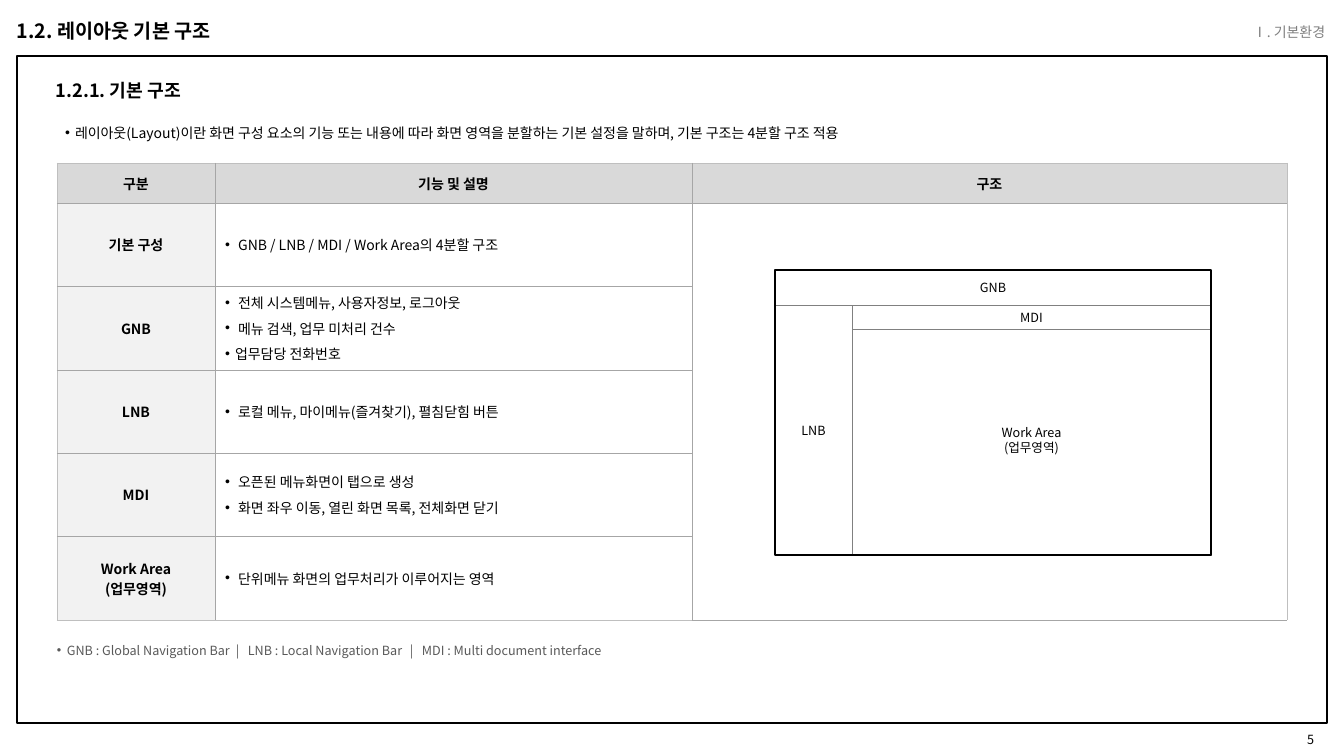
"""Builds the slide that explains the basic four-part screen layout."""
from lxml.etree import SubElement
from pptx import Presentation
from pptx.dml.color import RGBColor
from pptx.enum.shapes import MSO_SHAPE as Shape
from pptx.enum.text import MSO_ANCHOR as Anchor, PP_ALIGN as Align
from pptx.oxml.ns import qn
from pptx.util import Emu, Pt

FONT = "Noto Sans CJK KR"
COLORS = {"black": "000000", "white": "FFFFFF", "gray": "808080", "note": "595959",
          "header": "D9D9D9", "label": "F2F2F2", "inner": "A6A6A6", "outer": "BFBFBF"}


def px(value):
    return Emu(round(value * 914400 / 100.8))


def write(frame, text, size=10, color="black", bold=False, align=Align.LEFT,
          anchor=Anchor.MIDDLE, margin=0, hang=0, spacing=None, before=0, tabs=()):
    frame.vertical_anchor = anchor
    for number, line in enumerate(text.split("\n")):
        para = frame.paragraphs[0] if number == 0 else frame.add_paragraph()
        para.alignment = align
        para.line_spacing = spacing
        if number:
            para.space_before = Pt(before)
        props = para._p.get_or_add_pPr()
        if hang:
            props.set("marL", str(px(margin)))
            props.set("indent", str(-px(hang)))
            SubElement(props, qn("a:buFont"), typeface="Arial")
            SubElement(props, qn("a:buChar"), char="•")
        if tabs:
            stops = SubElement(props, qn("a:tabLst"))
            for stop in tabs:
                SubElement(stops, qn("a:tab"), pos=str(px(stop)), algn="l")
        span = para.add_run()
        span.text = line
        span.font.size = Pt(size)
        span.font.bold = bold
        span.font.name = FONT
        span.font.color.rgb = RGBColor.from_string(COLORS[color])
        SubElement(span._r.get_or_add_rPr(), qn("a:ea"), typeface=FONT)


deck = Presentation()
deck.slide_width, deck.slide_height = px(1344), px(756)
page = deck.slides.add_slide(deck.slide_layouts[6])

layout = [
    (7, 14, 225, 34, True, "1.2. 레이아웃 기본 구조",
     dict(size=14, bold=True, anchor=Anchor.TOP)),
    (1161, 13, 174, 38, True, "Ⅰ. 기본환경", dict(color="gray", align=Align.RIGHT)),
    (1254, 724, 70, 31, True, "5", dict(size=9, align=Align.RIGHT)),
    (56, 71, 992, 28, False, "1.2.1. 기본 구조", dict(size=13, bold=True, spacing=1.5)),
    (56, 116, 977, 22, False,
     "레이아웃(Layout)이란 화면 구성 요소의 기능 또는 내용에 따라 화면 영역을 분할하는 "
     "기본 설정을 말하며, 기본 구조는 4분할 구조 적용",
     dict(anchor=Anchor.TOP, margin=19, hang=10, spacing=1.5)),
    (37, 633, 650, 28, True,
     "GNB : Global Navigation Bar\t|\tLNB : Local Navigation Bar\t|\tMDI : Multi document interface",
     dict(size=9, color="note", anchor=Anchor.TOP, margin=20, hang=10, spacing=Pt(14),
          tabs=(189, 201, 363, 375))),
]
for left, top, width, height, padded, text, style in layout:
    box = page.shapes.add_textbox(px(left), px(top), px(width), px(height))
    frame = box.text_frame
    frame.word_wrap = True
    if not padded:
        frame.margin_left = frame.margin_right = frame.margin_top = frame.margin_bottom = 0
    write(frame, text, **style)

headings = ["구분", "기능 및 설명", "구조"]
areas = [
    ("기본 구성", " GNB / LNB / MDI / Work Area의 4분할 구조"),
    ("GNB", " 전체 시스템메뉴, 사용자정보, 로그아웃\n 메뉴 검색, 업무 미처리 건수\n업무담당 전화번호"),
    ("LNB", " 로컬 메뉴, 마이메뉴(즐겨찾기), 펼침닫힘 버튼"),
    ("MDI", " 오픈된 메뉴화면이 탭으로 생성\n 화면 좌우 이동, 열린 화면 목록, 전체화면 닫기"),
    ("Work Area\n(업무영역)", " 단위메뉴 화면의 업무처리가 이루어지는 영역"),
]
table = page.shapes.add_table(6, 3, px(57), px(163), px(1230), px(457)).table
table.first_row = table.horz_banding = False
for column, width in zip(table.columns, (158, 477, 595)):
    column.width = px(width)
for number, row in enumerate(table.rows):
    row.height = px(417 / 5 if number else 40)
table.cell(1, 2).merge(table.cell(5, 2))

for row, texts in enumerate([headings] + [(*area, "") for area in areas]):
    for column, text in enumerate(texts):
        cell = table.cell(row, column)
        edges = {"lnL": column == 0, "lnR": column == 2, "lnT": row == 0, "lnB": row == 5}
        for tag, outside in edges.items():
            line = SubElement(cell._tc.get_or_add_tcPr(), qn(f"a:{tag}"), w=str(Pt(0.25)))
            paint = SubElement(line, qn("a:solidFill"))
            SubElement(paint, qn("a:srgbClr"), val=COLORS["outer" if outside else "inner"])
        fill = "header" if row == 0 else ("label", "white", "white")[column]
        cell.fill.solid()
        cell.fill.fore_color.rgb = RGBColor.from_string(COLORS[fill])
        cell.vertical_anchor = Anchor.MIDDLE
        if row == 0 or column == 0:
            write(cell.text_frame, text, bold=True, align=Align.CENTER)
        elif text:
            write(cell.text_frame, text, margin=10, hang=10, before=4)

diagram = page.shapes.add_group_shape()
regions = [
    (852, 325, 359, 230, "Work Area\n(업무영역)"),
    (775, 270, 436, 35, "GNB"),
    (852, 305, 359, 24, "MDI"),
    (775, 305, 77, 250, "LNB"),
]
rectangles = [(diagram, *region, "gray", 0.5) for region in regions]
rectangles += [(diagram, 775, 270, 436, 285, "", "black", 1.5),
               (page, 17, 56, 1310, 667, "", "black", 1.3)]
for parent, left, top, width, height, text, outline, weight in rectangles:
    area = parent.shapes.add_shape(Shape.RECTANGLE, px(left), px(top), px(width), px(height))
    area.shadow.inherit = False
    area.line.color.rgb = RGBColor.from_string(COLORS[outline])
    area.line.width = Pt(weight)
    if text:
        area.fill.solid()
        area.fill.fore_color.rgb = RGBColor.from_string(COLORS["white"])
        area.text_frame.word_wrap = False
        write(area.text_frame, text, size=9, align=Align.CENTER)
    else:
        area.fill.background()

deck.save("out.pptx")
